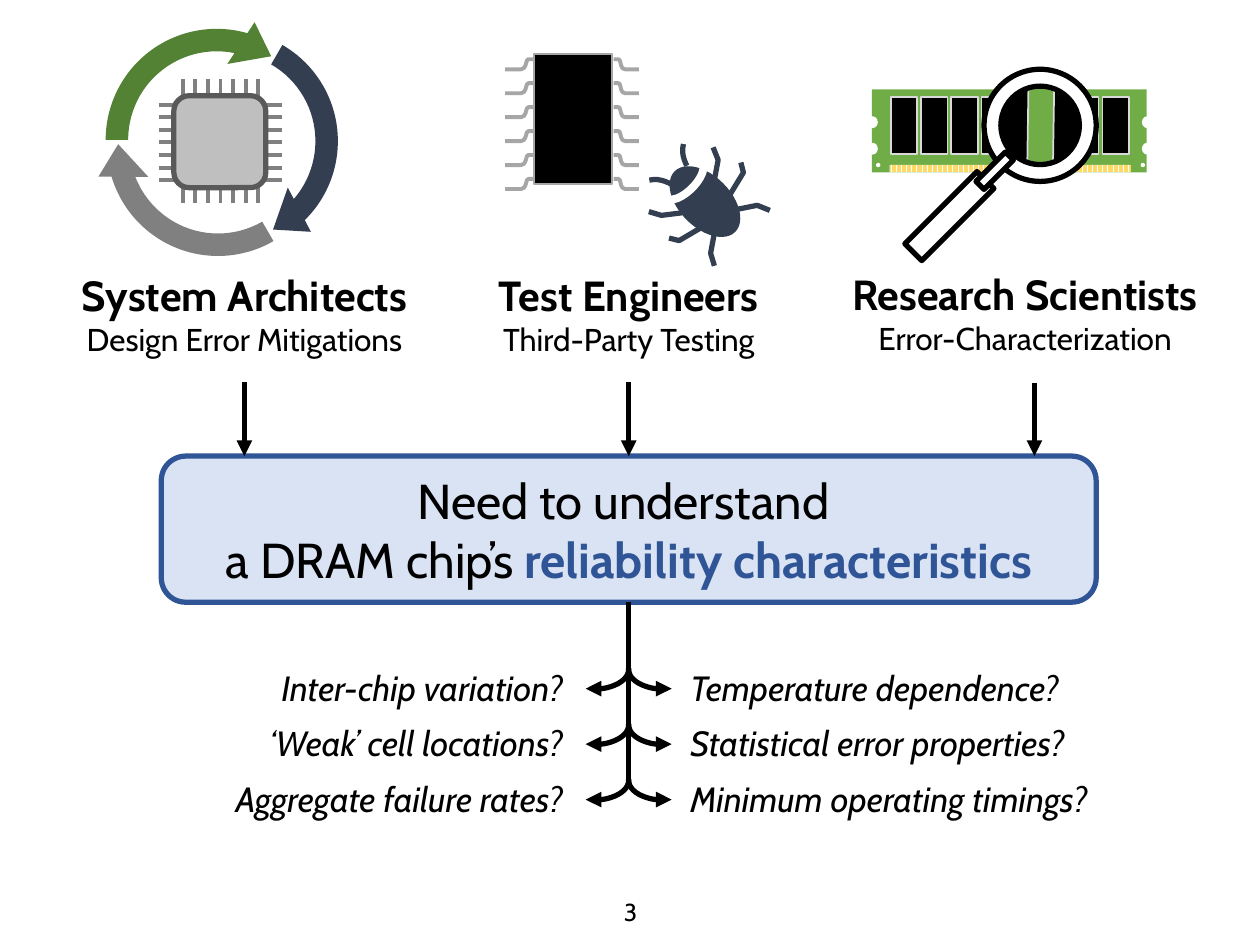
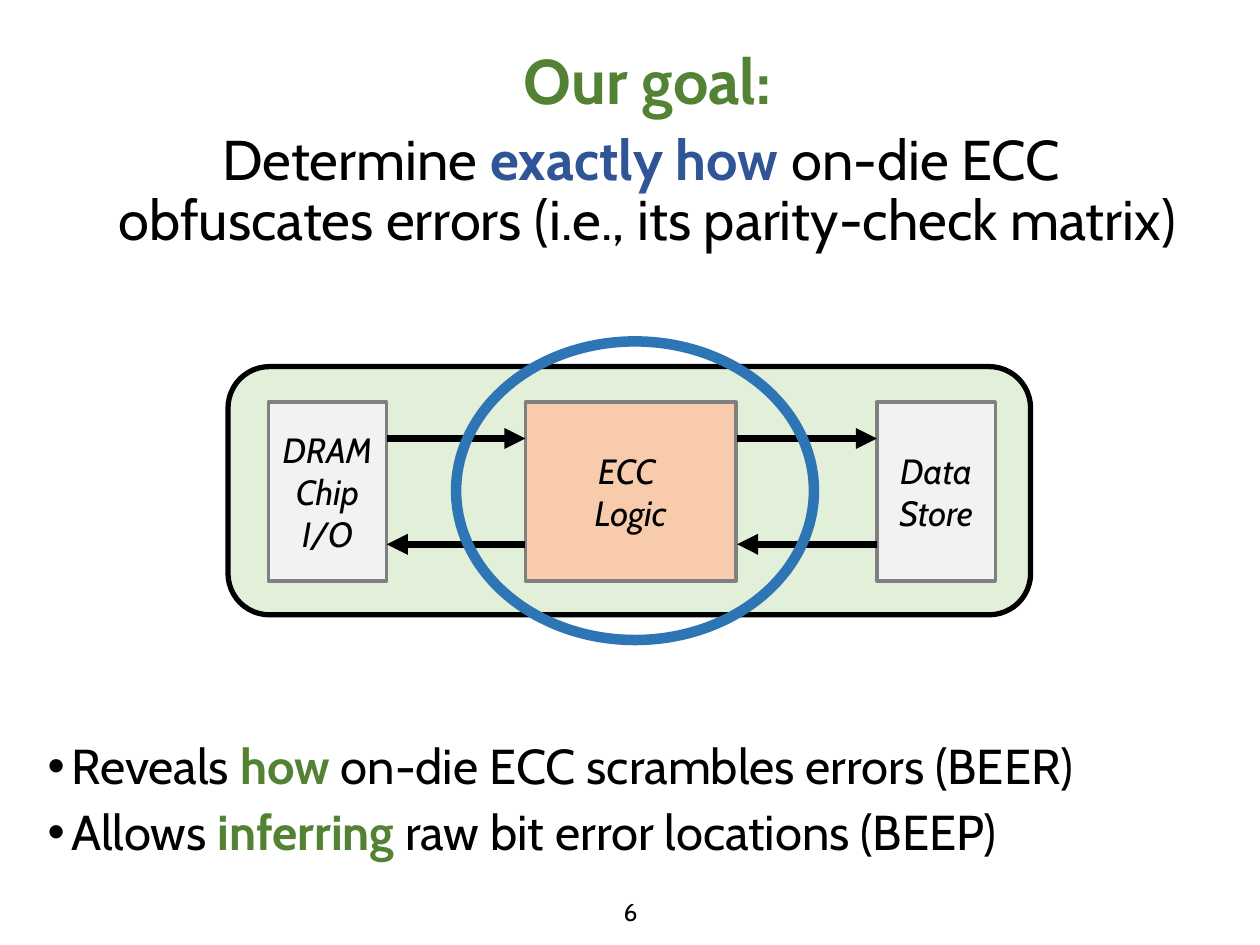
import pptx
import pptx.dml.color
import pptx.enum.dml
import pptx.enum.shapes
import pptx.enum.text
import pptx.oxml.ns
import pptx.util
from lxml import etree

Inches = pptx.util.Inches
RGBColor = pptx.dml.color.RGBColor
Kind = pptx.enum.shapes.MSO_SHAPE
Align = pptx.enum.text.PP_ALIGN
Anchor = pptx.enum.text.MSO_ANCHOR
qn = pptx.oxml.ns.qn

BLACK = RGBColor(0x00, 0x00, 0x00)
WHITE = RGBColor(0xFF, 0xFF, 0xFF)
GREEN = RGBColor(0x54, 0x82, 0x35)
BLUE = RGBColor(0x2F, 0x55, 0x97)
RING_BLUE = RGBColor(0x2E, 0x75, 0xB6)
PALE_BLUE = RGBColor(0xDA, 0xE3, 0xF3)
PALE_GREEN = RGBColor(0xE2, 0xF0, 0xD9)
BOARD_GREEN = RGBColor(0x70, 0xAD, 0x47)
GOLD = RGBColor(0xFF, 0xD9, 0x66)
PEACH = RGBColor(0xF8, 0xCB, 0xAD)
SLATE = RGBColor(0x33, 0x3F, 0x50)
DARK_GRAY = RGBColor(0x59, 0x59, 0x59)
GRAY = RGBColor(0x80, 0x80, 0x80)
PIN_GRAY = RGBColor(0xA6, 0xA6, 0xA6)
SILVER = RGBColor(0xBF, 0xBF, 0xBF)
LIGHT_GRAY = RGBColor(0xD9, 0xD9, 0xD9)
PALE_GRAY = RGBColor(0xF2, 0xF2, 0xF2)


class Deck:
    font_name = "Cabin"
    bullet_font_name = "Arial"
    title_only_layout = 5
    blank_layout = 6

    def __init__(self):
        self.presentation = pptx.Presentation()
        self.presentation.slide_width = Inches(10)
        self.presentation.slide_height = Inches(7.5)
        self.slide = None

    def add_slide(self, layout, number):
        self.slide = self.presentation.slides.add_slide(self.presentation.slide_layouts[layout])
        self.paragraph(self.text_box(3.88, 7.07, 2.25, 0.31), 14, number)

    def paragraph(self, frame, size, *runs, align=Align.CENTER, color=BLACK, bold=False, italic=False):
        paragraph = frame.paragraphs[0]
        if paragraph.runs:
            paragraph = frame.add_paragraph()
        paragraph.alignment = align
        font = paragraph.font
        font.name = self.font_name
        font.size = pptx.util.Pt(size)
        font.bold = bold
        font.italic = italic
        font.color.rgb = color
        for part in runs:
            text, accent = part if isinstance(part, tuple) else (part, None)
            run = paragraph.add_run()
            run.text = text
            if accent is not None:
                run.font.bold = True
                run.font.color.rgb = accent
        return paragraph

    def bullet(self, frame, size, *runs):
        paragraph = self.paragraph(frame, size, *runs, align=Align.LEFT)
        self.body_spacing(paragraph)
        properties = paragraph.font._element.getparent()
        properties.set("marL", str(Inches(0.19)))
        properties.set("indent", str(-Inches(0.19)))
        run_defaults = properties.find(qn("a:defRPr"))
        run_defaults.addprevious(etree.Element(qn("a:buFont"), typeface=self.bullet_font_name))
        run_defaults.addprevious(etree.Element(qn("a:buChar"), char="•"))

    def body_spacing(self, paragraph, before=7.5):
        paragraph.line_spacing = 0.9
        paragraph.space_before = pptx.util.Pt(before)

    def text_box(self, left, top, width, height):
        box = self.slide.shapes.add_textbox(Inches(left), Inches(top), Inches(width), Inches(height))
        box.text_frame.word_wrap = True
        return box.text_frame

    def title(self, left, top, width, height):
        title = self.slide.shapes.title
        title.left, title.top = Inches(left), Inches(top)
        title.width, title.height = Inches(width), Inches(height)
        frame = title.text_frame
        frame.word_wrap = True
        frame.auto_size = pptx.enum.text.MSO_AUTO_SIZE.NONE
        frame.vertical_anchor = Anchor.TOP
        return frame

    def paint(self, shape, fill, line, weight):
        shape.shadow.inherit = False
        if fill is None:
            shape.fill.background()
        else:
            shape.fill.solid()
            shape.fill.fore_color.rgb = fill
        if line is None:
            shape.line.fill.background()
        else:
            self.stroke(shape, line, weight)

    def stroke(self, shape, color, weight):
        shape.line.color.rgb = color
        shape.line.width = pptx.util.Pt(weight)

    def arrowhead(self, shape, end):
        etree.SubElement(shape.element.spPr.get_or_add_ln(), qn(end), type="triangle")

    def shape(self, kind, left, top, width, height, fill=None, line=None, weight=1,
              rotation=0, adjustments=(), flipped=False):
        shape = self.slide.shapes.add_shape(kind, Inches(left), Inches(top), Inches(width), Inches(height))
        for index, value in enumerate(adjustments):
            shape.adjustments[index] = value
        shape.rotation = rotation
        if flipped:
            shape.element.spPr.get_or_add_xfrm().set("flipH", "1")
        self.paint(shape, fill, line, weight)
        shape.text_frame.vertical_anchor = Anchor.MIDDLE
        return shape

    def arc(self, left, top, width, height, start, end, color, weight, rotation=0, flipped=False):
        return self.shape(Kind.ARC, left, top, width, height, None, color, weight, rotation,
                          (start, end), flipped)

    def polyline(self, points, color, weight):
        corners = [(Inches(x), Inches(y)) for x, y in points]
        builder = self.slide.shapes.build_freeform(*corners[0], scale=1.0)
        builder.add_line_segments(corners[1:], close=False)
        self.paint(builder.convert_to_shape(), None, color, weight)

    def line(self, start_x, start_y, end_x, end_y, color=BLACK, weight=3, arrow=False):
        connector = self.slide.shapes.add_connector(
            pptx.enum.shapes.MSO_CONNECTOR.STRAIGHT,
            Inches(start_x), Inches(start_y), Inches(end_x), Inches(end_y))
        self.stroke(connector, color, weight)
        if arrow:
            self.arrowhead(connector, "a:tailEnd")
        etree.SubElement(connector.element.spPr, qn("a:effectLst"))
        return connector


def draw_processor(deck):
    for index in range(7):
        offset = index * 0.1
        deck.line(1.26, 0.83 + offset, 2.24, 0.83 + offset, GRAY, 2.25)
        deck.line(1.45 + offset, 0.63, 1.45 + offset, 1.61, GRAY, 2.25)
    deck.shape(Kind.ROUNDED_RECTANGLE, 1.38, 0.76, 0.73, 0.73, SILVER, DARK_GRAY, 3)
    for left, top, rotation, color, sweep in (
        (0.73, 0.12, 0, GREEN, 170.45),
        (0.81, 0.13, 120, SLATE, 170.05),
        (0.74, 0.16, 240, GRAY, 168.85),
    ):
        deck.shape(Kind.CIRCULAR_ARROW, left, top, 1.98, 1.98, color, rotation=rotation,
                   adjustments=(0.09, 11.42, sweep, 108, 0.1))


def draw_chip_with_bug(deck):
    pin = ((0, 0), (0.04, 0), (0.05, 0.01), (0.06, 0.05), (0.07, 0.07), (0.09, 0.08), (0.2, 0.08))
    for row in range(6):
        top = 0.47 + row * 0.19
        for edge, stretch in ((4.87, 1), (4.24, -1.15)):
            deck.polyline([(edge + x * stretch, top + y) for x, y in pin], PIN_GRAY, 2.25)
    deck.shape(Kind.RECTANGLE, 4.24, 0.43, 0.62, 1.03, BLACK, PIN_GRAY, 1)

    deck.shape(Kind.OVAL, 5.39, 1.26, 0.41, 0.68, SLATE, rotation=315)
    deck.arc(5.22, 1.33, 0.41, 0.19, 7.05, 101.76, WHITE, 4.5, 315)
    for leg in (
        ((5.86, 1.66), (6.01, 1.63), (6.11, 1.67)),
        ((5.67, 1.85), (5.64, 2.01), (5.67, 2.11)),
        ((5.67, 1.43), (5.7, 1.27), (5.66, 1.17)),
        ((5.41, 1.69), (5.25, 1.71), (5.15, 1.68)),
        ((5.79, 1.55), (5.9, 1.37), (5.88, 1.29)),
        ((5.56, 1.81), (5.39, 1.91), (5.31, 1.89)),
    ):
        deck.polyline(leg, SLATE, 3)
    deck.arc(5.12, 1.38, 0.35, 0.55, 169.75, 194.29, SLATE, 3, 315)
    deck.arc(5.47, 1.01, 0.36, 0.55, 169.75, 194.29, SLATE, 3, 315, flipped=True)


def draw_memory_module(deck):
    deck.shape(Kind.RECTANGLE, 6.92, 0.71, 2.18, 0.66, BOARD_GREEN)
    for notch_left, hole_left in ((6.89, 6.96), (9.07, 9.06)):
        for top in (0.93, 1.14):
            deck.shape(Kind.OVAL, notch_left, top, 0.07, 0.08, WHITE, WHITE)
        deck.shape(Kind.OVAL, hole_left, 1.3, 0.02, 0.02, WHITE, WHITE)
    for index in range(8):
        deck.shape(Kind.RECTANGLE, 7.07 + index * 0.24, 0.77, 0.21, 0.45, BLACK, LIGHT_GRAY)
    contacts = deck.shape(Kind.RECTANGLE, 7.06, 1.31, 1.91, 0.06)
    contacts.fill.patterned()
    contacts.fill.pattern = pptx.enum.dml.MSO_PATTERN.DARK_VERTICAL
    contacts.fill.fore_color.rgb = GOLD
    contacts.fill.back_color.rgb = WHITE

    deck.shape(Kind.RECTANGLE, 8.16, 0.62, 0.21, 0.73, BOARD_GREEN)
    for left, top, rotation in ((7.91, 0.63, 0), (7.88, 0.64, 180)):
        deck.shape(Kind.CHORD, left, top, 0.73, 0.73, BLACK, LIGHT_GRAY, 1, rotation, (65.71, 151.34))
    deck.shape(Kind.DONUT, 7.81, 0.55, 0.89, 0.89, WHITE, BLACK, 3, adjustments=(0.15,))
    deck.shape(Kind.RECTANGLE, 7.13, 1.62, 0.81, 0.19, WHITE, BLACK, 3, 315)
    deck.shape(Kind.RECTANGLE, 7.73, 1.31, 0.33, 0.09, WHITE, BLACK, 3, 315)


def build_audience_slide(deck):
    deck.add_slide(deck.blank_layout, "3")
    need = deck.shape(Kind.ROUNDED_RECTANGLE, 1.28, 3.62, 7.42, 1.16, PALE_BLUE, BLUE, 3)
    deck.paragraph(need.text_frame, 28, "Need to understand ")
    deck.paragraph(need.text_frame, 28, "a DRAM chip’s ", ("reliability characteristics", BLUE))

    deck.line(1.94, 3.03, 1.94, 3.62, arrow=True)
    deck.line(4.99, 3.03, 4.99, 3.62, arrow=True).end_connect(need, 0)
    deck.line(8.21, 3.04, 8.21, 3.62, arrow=True)
    deck.line(4.99, 4.78, 4.99, 6.19).begin_connect(need, 2)

    questions = (
        ("Inter-chip variation?", "Temperature dependence?"),
        ("‘Weak’ cell locations?", "Statistical error properties?"),
        ("Aggregate failure rates?", "Minimum operating timings?"),
    )
    for row, (left_question, right_question) in enumerate(questions):
        top = 5.24 + row * 0.44
        deck.paragraph(deck.text_box(1.07, top, 3.5, 0.44), 20, left_question,
                       align=Align.RIGHT, italic=True)
        deck.paragraph(deck.text_box(5.38, top, 4.62, 0.44), 20, right_question,
                       align=Align.LEFT, italic=True)
        for left, flipped in ((4.43, True), (4.99, False)):
            branch = deck.arc(left, top - 0.08, 0.56, 0.31, 40.8, 109.19, BLACK, 3, flipped=flipped)
            deck.arrowhead(branch, "a:headEnd")

    for left, top, width, role, task in (
        (0.17, 2.09, 3.54, "System Architects", "Design Error Mitigations"),
        (3.62, 2.09, 2.74, "Test Engineers", "Third-Party Testing"),
        (6.44, 2.08, 3.39, "Research Scientists", "Error-Characterization"),
    ):
        label = deck.text_box(left, top, width, 0.81)
        deck.paragraph(label, 24, role, bold=True)
        deck.paragraph(label, 18, task)
    draw_processor(deck)
    draw_memory_module(deck)
    draw_chip_with_bug(deck)


def build_goal_slide(deck):
    deck.add_slide(deck.title_only_layout, "6")
    goal = deck.title(0.28, 0.35, 9.72, 2.15)
    deck.body_spacing(deck.paragraph(goal, 36, "Our goal:", color=GREEN, bold=True))
    deck.body_spacing(deck.paragraph(goal, 32, "Determine ", ("exactly how", BLUE), " on-die ECC "))
    deck.body_spacing(deck.paragraph(goal, 32, "obfuscates errors (i.e., its parity-check matrix)"), 0)

    findings = deck.text_box(0.28, 5.84, 9.72, 1.3)
    deck.bullet(findings, 28, "Reveals ", ("how", GREEN), " on-die ECC scrambles errors (BEER)")
    deck.bullet(findings, 28, "Allows ", ("inferring", GREEN), " raw bit error locations (BEEP)")

    deck.shape(Kind.ROUNDED_RECTANGLE, 1.81, 2.91, 6.37, 1.97, PALE_GREEN, BLACK, 3)
    for left, width, fill, words in (
        (2.13, 0.94, PALE_GRAY, ("DRAM", "Chip", "I/O")),
        (4.17, 1.67, PEACH, ("ECC ", "Logic")),
        (6.96, 0.94, PALE_GRAY, ("Data", "Store")),
    ):
        block = deck.shape(Kind.RECTANGLE, left, 3.19, width, 1.42, fill, GRAY, 2)
        for word in words:
            deck.paragraph(block.text_frame, 20, word, italic=True)
    for left, right in ((3.07, 4.17), (5.85, 6.96)):
        deck.line(left, 3.48, right, 3.48, weight=4, arrow=True)
        deck.line(right, 4.32, left, 4.32, weight=4, arrow=True)
    deck.shape(Kind.OVAL, 3.62, 2.71, 2.84, 2.37, None, RING_BLUE, 6)


def main():
    deck = Deck()
    build_audience_slide(deck)
    build_goal_slide(deck)
    deck.presentation.save("out.pptx")


if __name__ == "__main__":
    main()
